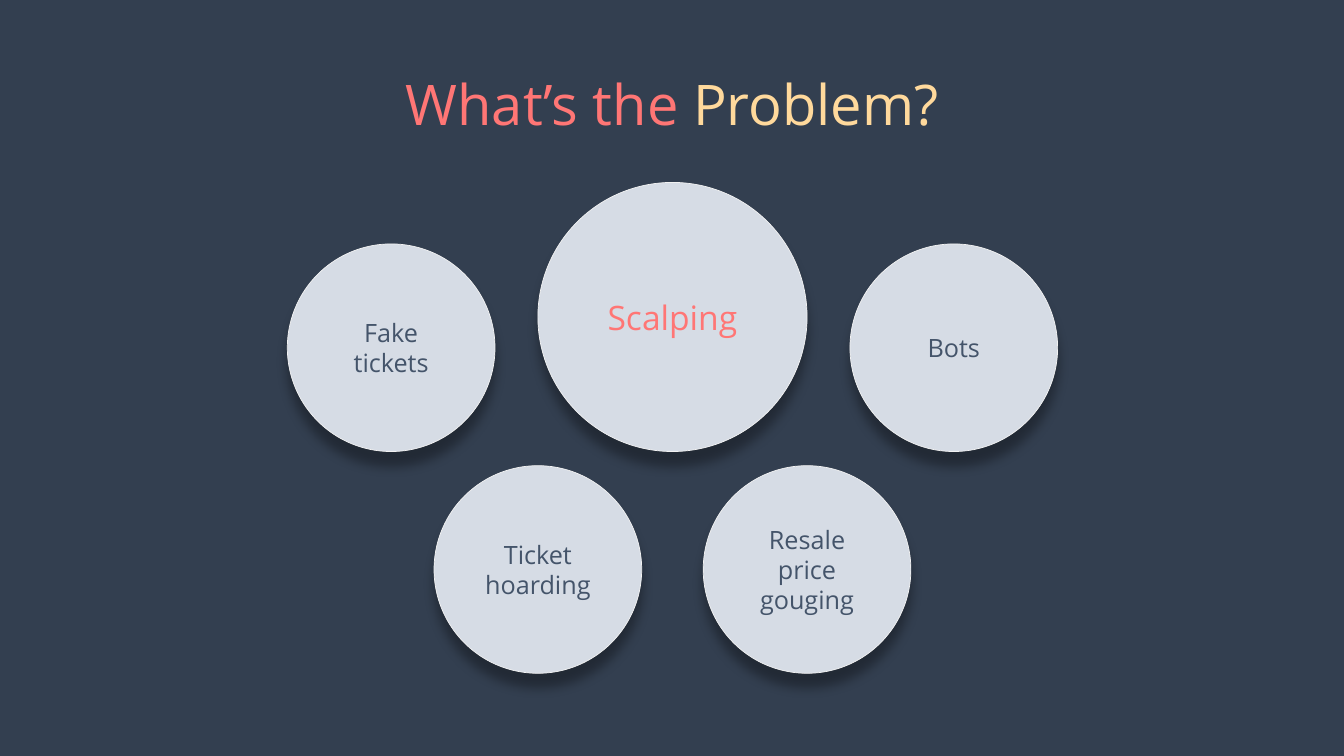
import pptx
import pptx.util
import pptx.dml.color
import pptx.enum.shapes
import pptx.enum.text
import pptx.oxml
import pptx.oxml.ns
from dataclasses import dataclass

TITLE = [("What’s the ", "coral"), ("Problem?", "sand")]
# label, column steps from the middle, row, is the main problem
PROBLEMS = [
    ("Scalping", 0, 0, True),
    ("Fake tickets", -2.09, 0, False),
    ("Ticket hoarding", -1, 1, False),
    ("Bots", 2.09, 0, False),
    ("Resale price gouging", 1, 1, False),
]


@dataclass(frozen=True)
class Theme:
    font: str = "Open Sans"
    background: str = "333F50"
    circle: str = "D6DCE5"
    outline: str = "F2F2F2"
    slate: str = "44546A"
    coral: str = "FF7675"
    sand: str = "FFD99C"
    title_size: int = 40
    main_size: int = 24
    label_size: int = 18


THEME = Theme()
WIDTH, HEIGHT = 13.33, 7.5
MIDDLE = 6.67
MAIN_DIAMETER, DIAMETER = 2.67, 2.06
COLUMN_STEP = MAIN_DIAMETER / 2
ROW_BOTTOMS = (4.48, 6.68)
TITLE_WIDTH, TITLE_HEIGHT, TITLE_TOP = 9.71, 0.77, 0.64

inches, pt = pptx.util.Inches, pptx.util.Pt
rgb = pptx.dml.color.RGBColor.from_string


def style_paragraph(p, size):
    p.alignment = pptx.enum.text.PP_ALIGN.CENTER
    p.font.name = THEME.font
    p.font.size = pt(size)


def add_soft_shadow(sp):
    """Cast a blurred black shadow straight down."""
    sp.shadow.inherit = False
    effects = sp._element.spPr.find(pptx.oxml.ns.qn("a:effectLst"))
    effects.append(pptx.oxml.parse_xml(
        f'<a:outerShdw {pptx.oxml.ns.nsdecls("a")} blurRad="{pt(8)}" '
        f'dist="{pt(10)}" dir="5400000" algn="t" rotWithShape="0">'
        '<a:srgbClr val="000000"><a:alpha val="32000"/></a:srgbClr>'
        '</a:outerShdw>'))


def add_problem(s, label, column, row, is_main):
    diameter = MAIN_DIAMETER if is_main else DIAMETER
    sp = s.shapes.add_shape(
        pptx.enum.shapes.MSO_SHAPE.OVAL,
        inches(MIDDLE + column * COLUMN_STEP - diameter / 2),
        inches(ROW_BOTTOMS[row] - diameter),
        inches(diameter), inches(diameter))
    sp.fill.solid()
    sp.fill.fore_color.rgb = rgb(THEME.circle)
    sp.line.color.rgb = rgb(THEME.outline)
    sp.line.width = pt(0.5)
    add_soft_shadow(sp)
    tf = sp.text_frame
    tf.word_wrap = True
    tf.vertical_anchor = pptx.enum.text.MSO_ANCHOR.MIDDLE
    p = tf.paragraphs[0]
    p.text = label
    style_paragraph(p, THEME.main_size if is_main else THEME.label_size)
    p.font.color.rgb = rgb(THEME.coral if is_main else THEME.slate)


def add_title(s):
    sp = s.shapes.add_textbox(
        inches((WIDTH - TITLE_WIDTH) / 2), inches(TITLE_TOP),
        inches(TITLE_WIDTH), inches(TITLE_HEIGHT))
    tf = sp.text_frame
    tf.word_wrap = True
    tf.auto_size = pptx.enum.text.MSO_AUTO_SIZE.SHAPE_TO_FIT_TEXT
    p = tf.paragraphs[0]
    style_paragraph(p, THEME.title_size)
    for text, color in TITLE:
        r = p.add_run()
        r.text = text
        r.font.color.rgb = rgb(getattr(THEME, color))


def main():
    prs = pptx.Presentation()
    prs.slide_width, prs.slide_height = inches(WIDTH), inches(HEIGHT)
    s = prs.slides.add_slide(prs.slide_layouts[6])
    s.background.fill.solid()
    s.background.fill.fore_color.rgb = rgb(THEME.background)
    for problem in PROBLEMS:
        add_problem(s, *problem)
    add_title(s)
    prs.save("out.pptx")


if __name__ == "__main__":
    main()
